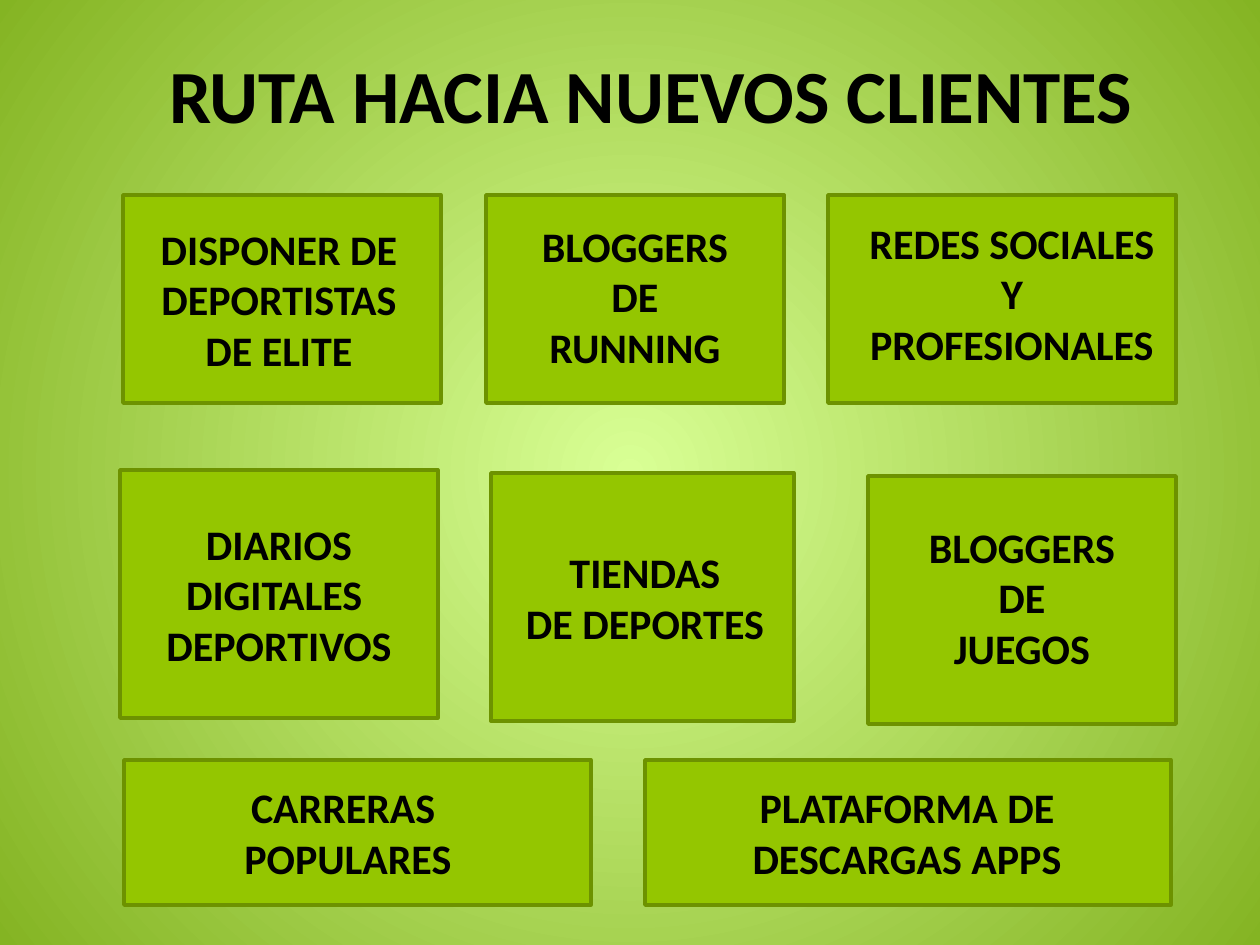
"""Build the slide of routes towards new customers."""
from lxml.etree import SubElement
from pptx import Presentation
from pptx.dml.color import RGBColor
from pptx.enum.shapes import MSO_SHAPE
from pptx.enum.text import MSO_ANCHOR, PP_ALIGN
from pptx.oxml.ns import qn
from pptx.util import Pt

EMU_PER_PX = 914400 / 126


def scaled(*lengths):
    return [round(length * EMU_PER_PX) for length in lengths]


def add_label(left, top, width, height, lines, size):
    label = slide.shapes.add_textbox(*scaled(left, top, width, height))
    frame = label.text_frame
    frame.word_wrap = True
    frame.vertical_anchor = MSO_ANCHOR.MIDDLE
    frame.text = lines
    for paragraph in frame.paragraphs:
        paragraph.alignment = PP_ALIGN.CENTER
        paragraph.font.name = "Calibri"
        paragraph.font.size = Pt(size)
        paragraph.font.bold = True
        paragraph.font.color.rgb = RGBColor.from_string("000000")


presentation = Presentation()
presentation.slide_width, presentation.slide_height = scaled(1260, 945)
slide = presentation.slides.add_slide(presentation.slide_layouts[6])

backdrop = slide.background.fill
backdrop.gradient()
for stop, position, color in zip(backdrop.gradient_stops, (0, 1), ("D9FF95", "84B423")):
    stop.position = position
    stop.color.rgb = RGBColor.from_string(color)
gradient = slide.background._cSld.find(".//" + qn("a:gradFill"))
gradient.remove(gradient.find(qn("a:lin")))
radial = SubElement(gradient, qn("a:path"), path="circle")
SubElement(radial, qn("a:fillToRect"), l="50000", t="50000", r="50000", b="50000")

cards = [
    (123, 195, 318, 208), (486, 195, 298, 208), (828, 195, 348, 208),
    (120, 470, 318, 248), (491, 473, 303, 248), (868, 476, 308, 248),
    (124, 760, 467, 145), (645, 760, 526, 145),
]
for bounds in cards:
    card = slide.shapes.add_shape(MSO_SHAPE.RECTANGLE, *scaled(*bounds))
    card.shadow.inherit = False
    card.fill.solid()
    card.fill.fore_color.rgb = RGBColor.from_string("94C600")
    card.line.color.rgb = RGBColor.from_string("6D9200")
    card.line.width = Pt(2)

add_label(84, 14, 1134, 158, "RUTA HACIA NUEVOS CLIENTES", 42.9)
routes = [
    (120, 215, 318, "DISPONER DE\nDEPORTISTAS\nDE ELITE"),
    (476, 212, 318, "BLOGGERS\nDE\nRUNNING"),
    (853, 209, 318, "REDES SOCIALES Y PROFESIONALES"),
    (120, 510, 318, "DIARIOS\nDIGITALES \nDEPORTIVOS"),
    (486, 513, 318, "TIENDAS\nDE DEPORTES"),
    (863, 513, 318, "BLOGGERS\nDE\nJUEGOS"),
    (189, 748, 318, "CARRERAS \nPOPULARES"),
    (689, 748, 436, "PLATAFORMA DE DESCARGAS APPS"),
]
for left, top, width, route in routes:
    add_label(left, top, width, 168, route, 24)

presentation.save("out.pptx")
